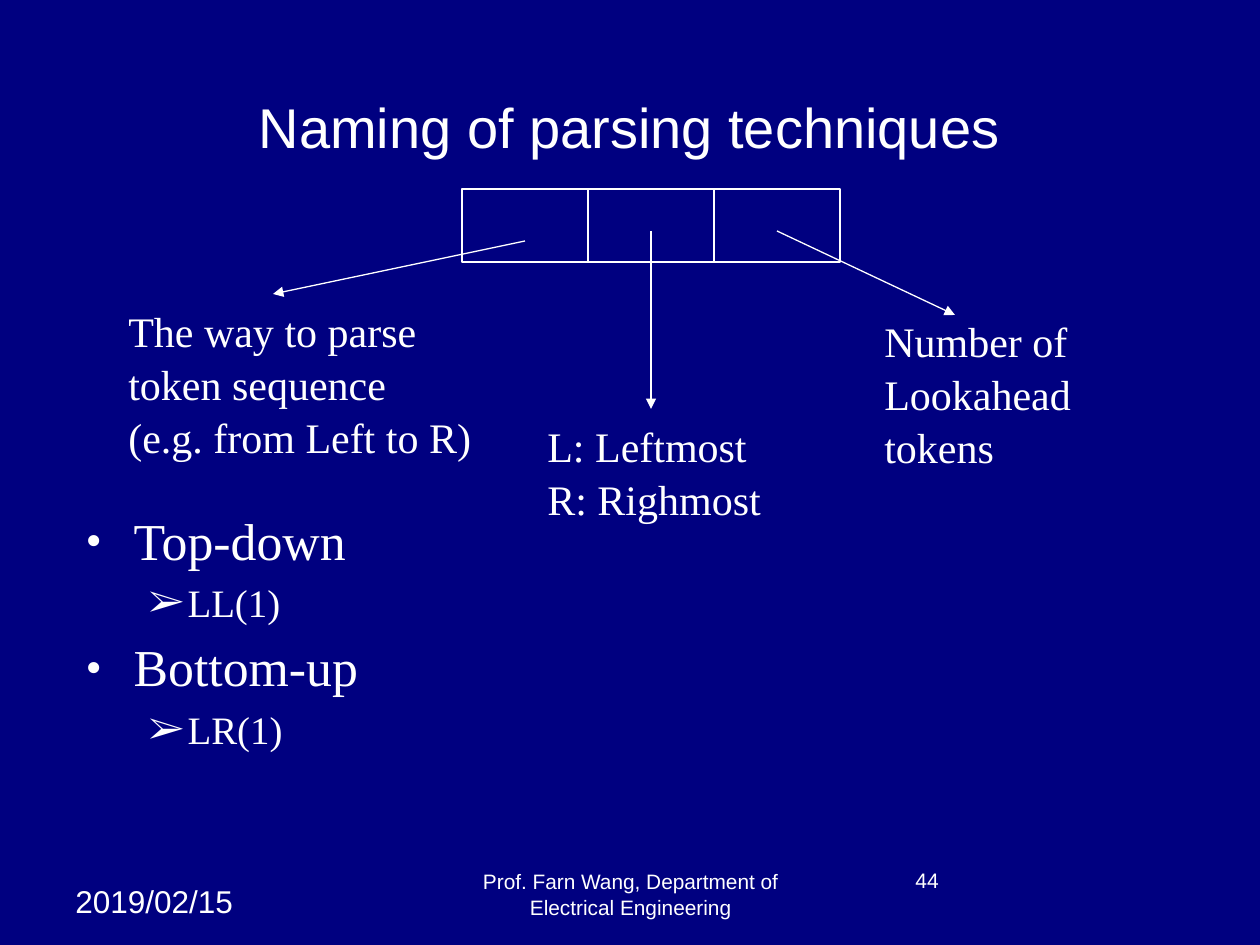
from lxml import etree
from pptx import Presentation
from pptx import util as u
from pptx.dml.color import RGBColor
from pptx.enum import shapes, text
from pptx.oxml.ns import qn

PX = u.Inches(1) // 126
COLORS = {"background": "000080", "ink": "FFFFFF"}
SANS, SERIF = "Arial", "Times New Roman"
INK = RGBColor.from_string(COLORS["ink"])


def px(*lengths):
    return [length * PX for length in lengths]


def style_runs(para, font, size):
    for span in para.runs:
        span.font.name = font
        span.font.size = u.Pt(size)
        span.font.color.rgb = INK


def place(shape, box):
    shape.left, shape.top, shape.width, shape.height = px(*box)


def add_text(page, box, words, font, size, wrap=True, align=text.PP_ALIGN.LEFT,
             anchor=text.MSO_ANCHOR.TOP, spacing=1.0):
    frame = page.shapes.add_textbox(*px(*box)).text_frame
    frame.text = words
    frame.word_wrap = wrap
    frame.vertical_anchor = anchor
    for para in frame.paragraphs:
        para.alignment = align
        para.line_spacing = spacing
        style_runs(para, font, size)


def add_title(page, box, words):
    title = page.shapes.title
    place(title, box)
    frame = title.text_frame
    frame.text = words
    frame.auto_size = text.MSO_AUTO_SIZE.NONE
    frame.vertical_anchor = text.MSO_ANCHOR.MIDDLE
    frame.paragraphs[0].alignment = text.PP_ALIGN.CENTER
    style_runs(frame.paragraphs[0], SANS, 32)


def add_arrow(page, start, end):
    arrow = page.shapes.add_connector(shapes.MSO_CONNECTOR.STRAIGHT, *px(*start, *end))
    arrow.line.color.rgb = INK
    arrow.line.width = u.Pt(0.75)
    etree.SubElement(arrow.line._get_or_add_ln(), qn("a:tailEnd"), type="triangle")
    etree.SubElement(arrow._element.spPr, qn("a:effectLst"))


def add_naming_diagram(page, box):
    """Three letter cells, each with an arrow to its explanation."""
    left, top, width, height = box
    cell_width = width // 3
    for index in range(3):
        cell = page.shapes.add_shape(
            shapes.MSO_SHAPE.RECTANGLE,
            *px(left + index * cell_width, top, cell_width, height))
        cell.shadow.inherit = False
        cell.fill.background()
        cell.line.color.rgb = INK
        cell.line.width = u.Pt(0.75)

    # Arrow start and end, then label box and wording, from the diagram's corner
    parts = [
        ((63, 52), (-189, 105), (-346, 108, 368, 164), False,
         "The way to parse\ntoken sequence\n(e.g. from Left to R)"),
        ((189, 42), (189, 220), (73, 223, 250, 113), False,
         "L: Leftmost\nR: Righmost"),
        ((315, 42), (493, 126), (410, 118, 242, 164), True,
         "Number of\nLookahead\ntokens"),
    ]
    for start, end, (x, y, label_width, label_height), wrap, words in parts:
        add_arrow(page, (left + start[0], top + start[1]), (left + end[0], top + end[1]))
        add_text(page, (left + x, top + y, label_width, label_height),
                 words, SERIF, 24, wrap, spacing=1.05)


def add_bullet(para, char, margin, hanging, percent):
    properties = para._p.get_or_add_pPr()
    properties.set("marL", str(margin * PX))
    properties.set("indent", str(-hanging * PX))
    color = etree.SubElement(properties, qn("a:buClr"))
    etree.SubElement(color, qn("a:srgbClr"), val=COLORS["ink"])
    etree.SubElement(properties, qn("a:buSzPct"), val=str(percent * 1000))
    etree.SubElement(properties, qn("a:buFont"), typeface=SERIF)
    etree.SubElement(properties, qn("a:buChar"), char=char)


def add_parser_list(page, box):
    body = page.placeholders[1]
    place(body, box)
    frame = body.text_frame
    frame.text = "Top-down\nLL(1)\nBottom-up\nLR(1)"
    frame.auto_size = text.MSO_AUTO_SIZE.NONE
    frame.vertical_anchor = text.MSO_ANCHOR.TOP
    # Bullet, margin, hanging, bullet percent, text size, space before
    levels = [("•", 48, 48, 90, 29.6, 8), ("➢", 102, 39, 100, 22.2, 6)]
    for index, para in enumerate(frame.paragraphs):
        para.level = index % 2
        *bullet, size, before = levels[para.level]
        add_bullet(para, *bullet)
        para.line_spacing = 0.94
        para.space_before = u.Pt(before if index else 0)
        style_runs(para, SERIF, size)


def add_footer(page, box):
    left, top, _, height = box
    add_text(page, (left, top + 15, 199, 50), "2019/02/15", SANS, 18)
    add_text(page, (left + 368, top, 399, height),
             "Prof. Farn Wang, Department of Electrical Engineering", SANS, 11.9,
             align=text.PP_ALIGN.CENTER, anchor=text.MSO_ANCHOR.BOTTOM, spacing=1.05)
    add_text(page, (left + 840, top, 294, height), "44", SANS, 12)


def main():
    deck = Presentation()
    deck.slide_width, deck.slide_height = px(1260, 945)
    page = deck.slides.add_slide(deck.slide_layouts[1])
    page.background.fill.solid()
    page.background.fill.fore_color.rgb = RGBColor.from_string(COLORS["background"])
    add_title(page, (94, 84, 1071, 84), "Naming of parsing techniques")
    add_naming_diagram(page, (462, 189, 378, 73))
    add_parser_list(page, (73, 507, 1081, 273))
    add_footer(page, (63, 861, 1134, 65))
    deck.save("out.pptx")


if __name__ == "__main__":
    main()
